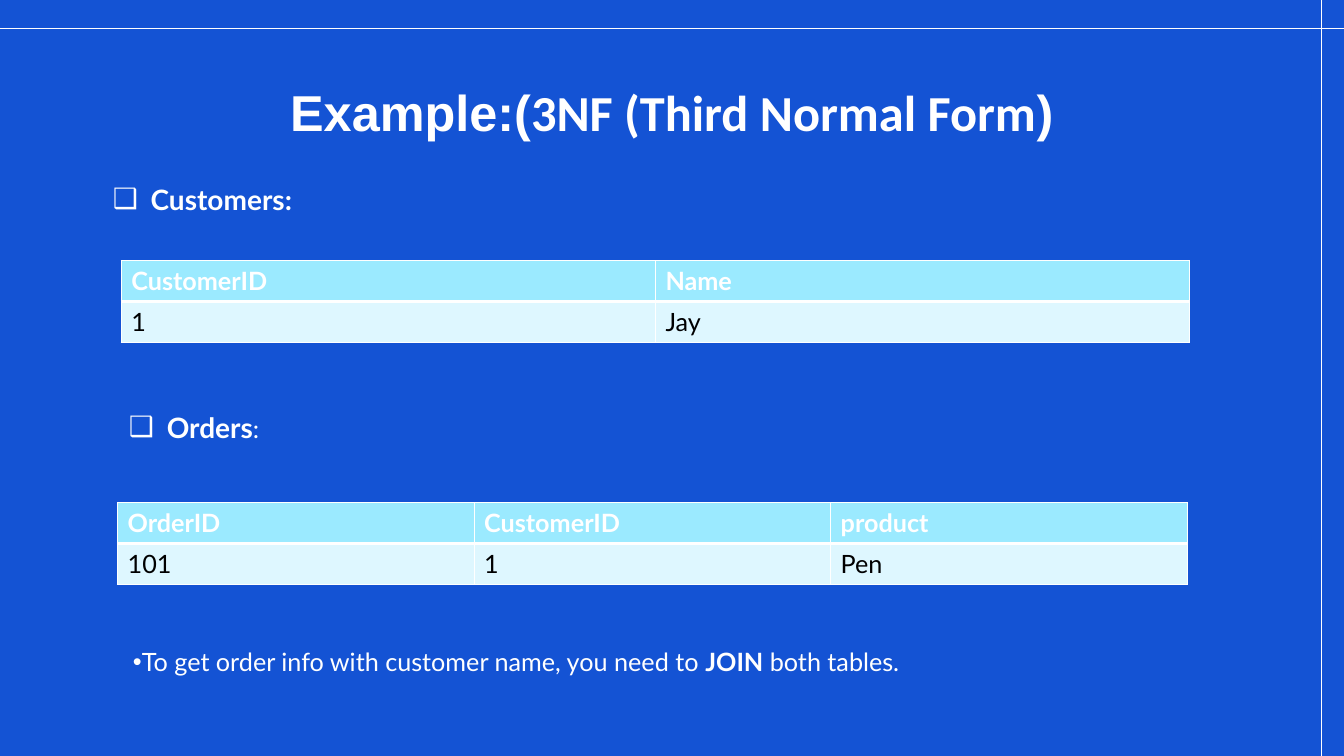
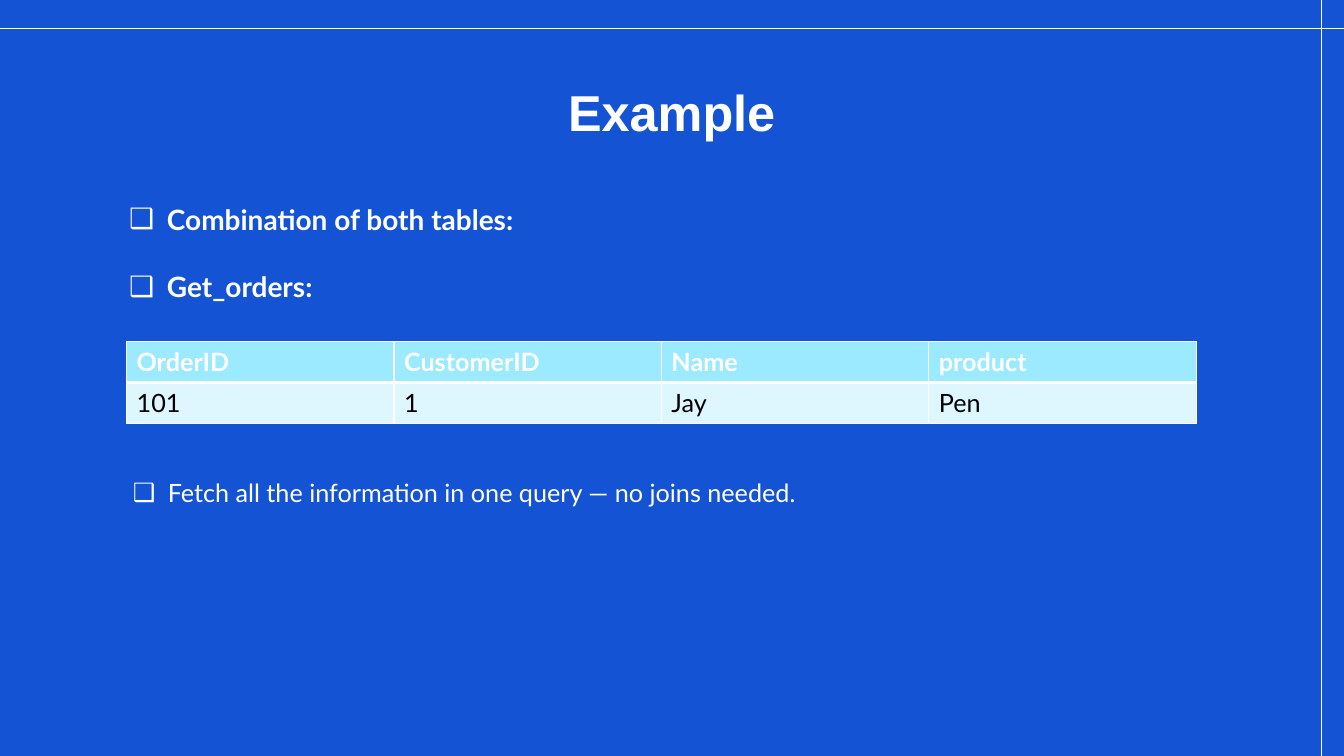
from lxml import etree
from pptx import Presentation
from pptx.dml.color import RGBColor
from pptx.enum.shapes import MSO_CONNECTOR
from pptx.enum.text import MSO_ANCHOR, MSO_AUTO_SIZE, PP_ALIGN
from pptx.oxml.ns import qn
from pptx.util import Pt

LINE = MSO_CONNECTOR.STRAIGHT
BOTTOM = MSO_ANCHOR.BOTTOM
GROW = MSO_AUTO_SIZE.SHAPE_TO_FIT_TEXT
CENTER = PP_ALIGN.CENTER
LEFT = PP_ALIGN.LEFT

# Shared look
HUES = {"back": "1453D4", "white": "FFFFFF", "black": "000000",
        "head": "9BEAFF", "row": "DEF7FF"}
TITLE = {"size": Pt(36), "bold": True}
HEAD = {"name": "Lato", "size": Pt(20), "bold": True}
NOTE = {"name": "Lato", "size": Pt(18), "bold": False}
BOLD = {**NOTE, "bold": True}
WIDE, HIGH = 960, 540
ROW = 29.2
BOX = "❑"

# Each note: left, top, width, height, bullet, hang, paragraphs of runs
# Each table: left, top, width, rows
PAGES = [
    {"title": [("Example:(", "Arial"), ("3NF (Third Normal Form", "Calibri"),
               (")", "Arial")],
     "notes": [
         (73.4, 126.7, 232, 31.5, BOX, 27, [[("Customers:", HEAD)]]),
         (85, 289.4, 190, 31.5, BOX, 27, [[("Orders", HEAD), (":", NOTE)]]),
         (87.8, 458, 767, 29, "•", 6.5,
          [[("To get order info with customer name, you need to ", NOTE),
            ("JOIN", BOLD), (" both tables.", NOTE)]])],
     "tables": [
         (86.6, 186.2, 763.2, [["CustomerID", "Name"], ["1", "Jay"]]),
         (84, 359, 764, [["OrderID", "CustomerID", "product"],
                         ["101", "1", "Pen"]])]},
    {"title": [("Example", "Arial")],
     "notes": [
         (85, 141, 550, 80, BOX, 27, [[("Combination of both tables:", HEAD)],
                                      [("Get_orders:", HEAD)]]),
         (87.8, 337.7, 767, 29, BOX, 25,
          [[("Fetch all the information in one query — no joins needed.",
             NOTE)]])],
     "tables": [
         (90.4, 244, 764, [["OrderID", "CustomerID", "Name", "product"],
                           ["101", "1", "Jay", "Pen"]])]},
]


def write(para, text, form, hue="white"):
    run = para.add_run()
    run.text = text
    for key, value in form.items():
        setattr(run.font, key, value)
    run.font.color.rgb = RGBColor.from_string(HUES[hue])
    return run


def edge(cell, side, width):
    line = etree.SubElement(cell._tc.get_or_add_tcPr(), qn("a:" + side),
                            w=str(Pt(width)))
    fill = etree.SubElement(line, qn("a:solidFill"))
    etree.SubElement(fill, qn("a:srgbClr"), val=HUES["white"])


deck = Presentation()
deck.slide_width, deck.slide_height = Pt(WIDE), Pt(HIGH)

# Master background and layout title
fill = deck.slide_master.background.fill
fill.solid()
fill.fore_color.rgb = RGBColor.from_string(HUES["back"])
plan = deck.slide_layouts[1]
title = plan.placeholders[0]
title.left, title.top, title.width, title.height = map(
    Pt, (66.2, 33.8, 827.3, 67))
frame = title.text_frame
frame.vertical_anchor = BOTTOM
for side in ("left", "top", "right", "bottom"):
    setattr(frame, "margin_" + side, 0)

slides = [deck.slides.add_slide(plan) for _ in PAGES]

# Frame lines, moved from the first slide to the layout
for num, ends in enumerate([(0, 20.2, WIDE, 20.2), (944, 0, 944, HIGH)]):
    line = slides[0].shapes.add_connector(LINE, *map(Pt, ends))
    line.line.width = Pt(0.5)
    line.line.color.rgb = RGBColor.from_string(HUES["white"])
    etree.SubElement(line.element.spPr, qn("a:effectLst"))
    line.element.nvCxnSpPr.cNvPr.set("id", str(20 + num))
    plan.shapes.element.append(line.element)

for slide, page in zip(slides, PAGES):
    # Title
    para = slide.shapes.title.text_frame.paragraphs[0]
    para.alignment = CENTER
    for text, face in page["title"]:
        write(para, text, {**TITLE, "name": face})

    # Tables
    for left, top, width, rows in page["tables"]:
        count = len(rows[0])
        grid = slide.shapes.add_table(
            len(rows), count, Pt(left), Pt(top), Pt(width),
            Pt(ROW * len(rows))).table
        for col in grid.columns:
            col.width = Pt(width / count)
        for r, row in enumerate(rows):
            for c, text in enumerate(row):
                cell = grid.cell(r, c)
                edge(cell, "lnL", 1)
                edge(cell, "lnR", 1)
                edge(cell, "lnT", 3 if r else 1)
                edge(cell, "lnB", 1 if r else 3)
                cell.fill.solid()
                cell.fill.fore_color.rgb = RGBColor.from_string(
                    HUES["row" if r else "head"])
                write(cell.text_frame.paragraphs[0], text,
                      NOTE if r else BOLD, "black" if r else "white")

    # Bulleted notes: the first fills the body placeholder
    for num, (*place, mark, hang, paras) in enumerate(page["notes"]):
        place = [Pt(value) for value in place]
        if num:
            box = slide.shapes.add_textbox(*place)
        else:
            box = slide.placeholders[1]
            box.left, box.top, box.width, box.height = place
        frame = box.text_frame
        frame.word_wrap = True
        frame.auto_size = GROW
        for pos, runs in enumerate(paras):
            para = frame.add_paragraph() if pos else frame.paragraphs[0]
            para.alignment = LEFT
            para.space_before = Pt(24 if pos else 0)
            props = para._p.get_or_add_pPr()
            props.set("marL", str(Pt(hang)))
            props.set("indent", str(-Pt(hang)))
            etree.SubElement(props, qn("a:buFont"), typeface="Arial")
            etree.SubElement(props, qn("a:buChar"), char=mark)
            for text, form in runs:
                write(para, text, form)

deck.save("out.pptx")
